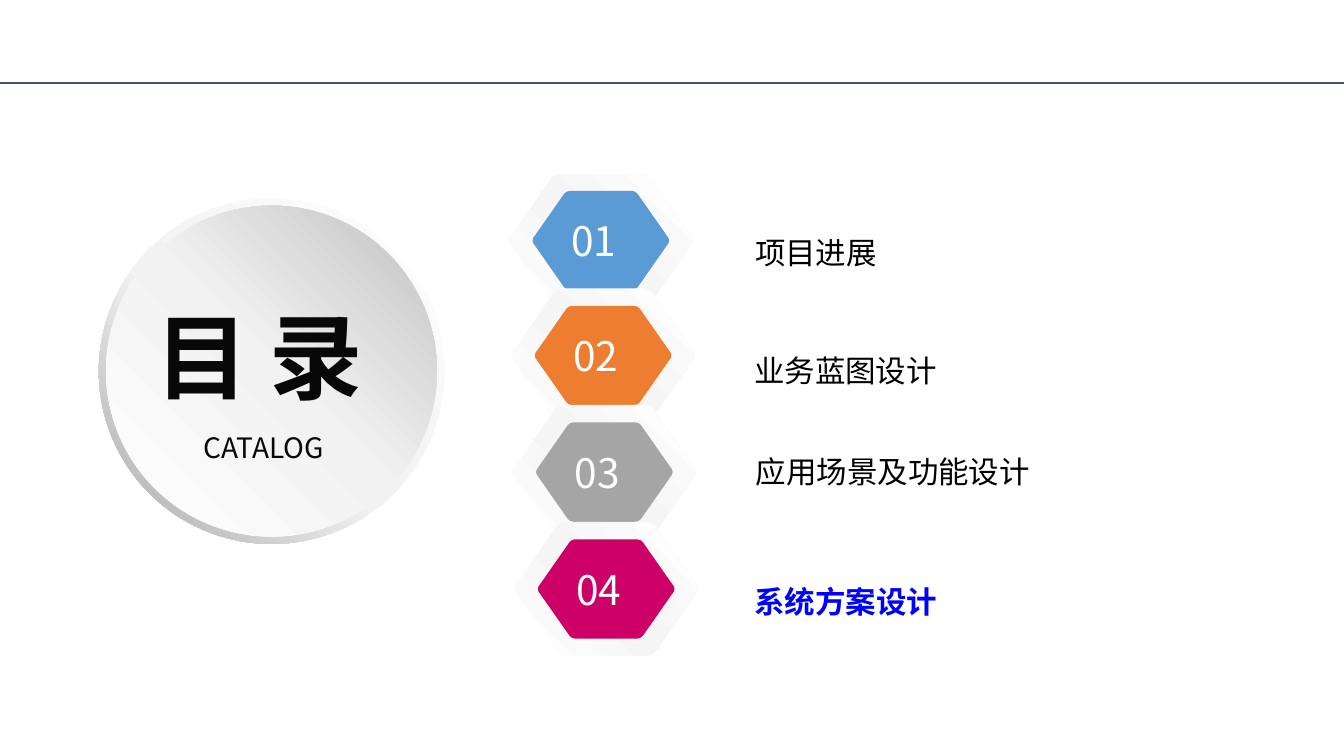
from copy import deepcopy
from pptx import Presentation
from pptx import util as u
from pptx.dml.color import RGBColor
from pptx.enum import shapes, text
from pptx.oxml.ns import qn
from lxml import etree

Pt = u.Pt
FONT = "Noto Sans CJK SC"
TOP, MIDDLE = text.MSO_ANCHOR.TOP, text.MSO_ANCHOR.MIDDLE
GROW, FIXED = text.MSO_AUTO_SIZE.SHAPE_TO_FIT_TEXT, text.MSO_AUTO_SIZE.NONE
CENTER = text.PP_ALIGN.CENTER

prs = Presentation()
prs.slide_width, prs.slide_height = Pt(1058.4), Pt(595.4)
s = prs.slides.add_slide(prs.slide_layouts[6])


def paint(sp, colors, middle=50, angle=45):
    """Fill with one hex colour, or with a three-stop gradient."""
    sp.shadow.inherit = False
    sp.line.fill.background()
    if len(colors) == 1:
        sp.fill.solid()
        sp.fill.fore_color.rgb = RGBColor.from_string(colors[0])
        return
    sp.fill.gradient()
    sp.fill.gradient_angle = angle
    stops = sp.element.spPr.find(".//" + qn("a:gsLst"))
    stops.append(deepcopy(stops[0]))
    for stop, pos, color in zip(sp.fill.gradient_stops, (0, middle, 100), colors):
        stop.position = pos / 100
        stop.color.rgb = RGBColor.from_string(color)


def write(words, box, size, color, bold=False, frame=None, para=None):
    tf = s.shapes.add_textbox(*map(Pt, box)).text_frame
    frame = {"word_wrap": True, "auto_size": GROW, "vertical_anchor": TOP, **(frame or {})}
    for name, value in frame.items():
        setattr(tf, name, value)
    p = tf.paragraphs[0]
    for name, value in (para or {}).items():
        setattr(p, name, value)
    r = p.add_run()
    r.text = words
    for name, value in {"name": FONT, "size": Pt(size), "bold": bold}.items():
        setattr(r.font, name, value)
    r.font.color.rgb = RGBColor.from_string(color)
    fonts = r.font.color and r._r.get_or_add_rPr()
    etree.SubElement(fonts, qn("a:ea")).set("typeface", FONT)


# Header rule
rule = s.shapes.add_connector(shapes.MSO_CONNECTOR.STRAIGHT, 0, Pt(65.5), prs.slide_width, Pt(65.5))
rule.line.color.rgb = RGBColor.from_string("44546A")
rule.line.width = Pt(1.5)
etree.SubElement(rule.element.spPr, qn("a:effectLst"))

# Title disc
ring = s.shapes.add_shape(shapes.MSO_SHAPE.DONUT, Pt(77.8), Pt(156.2), Pt(272.2), Pt(272.2))
ring.adjustments[0] = 0.049
paint(ring, ("FFFFFF", "F2F2F2", "A6A6A6"), 55, 225)
disc = s.shapes.add_shape(shapes.MSO_SHAPE.OVAL, Pt(83.5), Pt(162), Pt(260.6), Pt(260.6))
paint(disc, ("FFFFFF", "F2F2F2", "BFBFBF"), 51)
write("目 录", (115.2, 231.8, 191.5, 96.5), 73.5, "080808", True)
write("CATALOG", (128.2, 330.5, 159.1, 43.9), 22.1, "080808",
      frame={"auto_size": FIXED, "vertical_anchor": MIDDLE,
             "margin_left": Pt(8), "margin_right": Pt(8),
             "margin_top": Pt(4.3), "margin_bottom": Pt(4.3)},
      para={"alignment": CENTER})

# Rounded hexagon outline: one quarter, mirrored around the centre
quarter = [(72.7, 0), (72, 2.7), (38.9, 50), (36.3, 52), (33.1, 52.9)]
outline = []
for sx, sy, step in ((1, 1, 1), (-1, 1, -1), (-1, -1, 1), (1, -1, -1)):
    outline += [(sx * x, sy * y) for x, y in quarter[::step]]

# Numbered hexagons
badges = [
    ("01", 473.2, 189.5, "5B9BD5"),
    ("02", 475, 280, "ED7D31"),
    ("03", 476, 371.8, "A5A5A5"),
    ("04", 477.4, 463.9, "CC0066"),
]
for number, cx, cy, color in badges:
    layers = ((1, ("FFFFFF",)), (0.99, ("FFFFFF", "F5F5F5", "FFFFFF")), (0.74, (color,)))
    for scale, colors in layers:
        points = [(Pt(cx + x * scale), Pt(cy + y * scale)) for x, y in outline]
        builder = s.shapes.build_freeform(*points[0])
        builder.add_line_segments(points[1:], close=True)
        paint(builder.convert_to_shape(), colors, 47)
    write(number, (cx - 30.6, cy - 22.8, 70.6, 46), 32, "FFFFFF")

# Chapter names
double = {"line_spacing": 2.0}
chapters = [
    ("项目进展", (587.5, 155.5, 207.4, 56.9), "000000", False, True, double),
    ("业务蓝图设计", (586.8, 248.4, 283.7, 56.9), "000000", False, True, double),
    ("应用场景及功能设计", (586.8, 353.5, 232.6, 36), "000000", False, False, {"alignment": CENTER}),
    ("系统方案设计", (586.8, 430.6, 272.2, 56.9), "0000FF", True, True, double),
]
for words, box, color, bold, wrap, para in chapters:
    write(words, box, 24, color, bold, {"vertical_anchor": MIDDLE, "word_wrap": wrap}, para)

prs.save("out.pptx")
